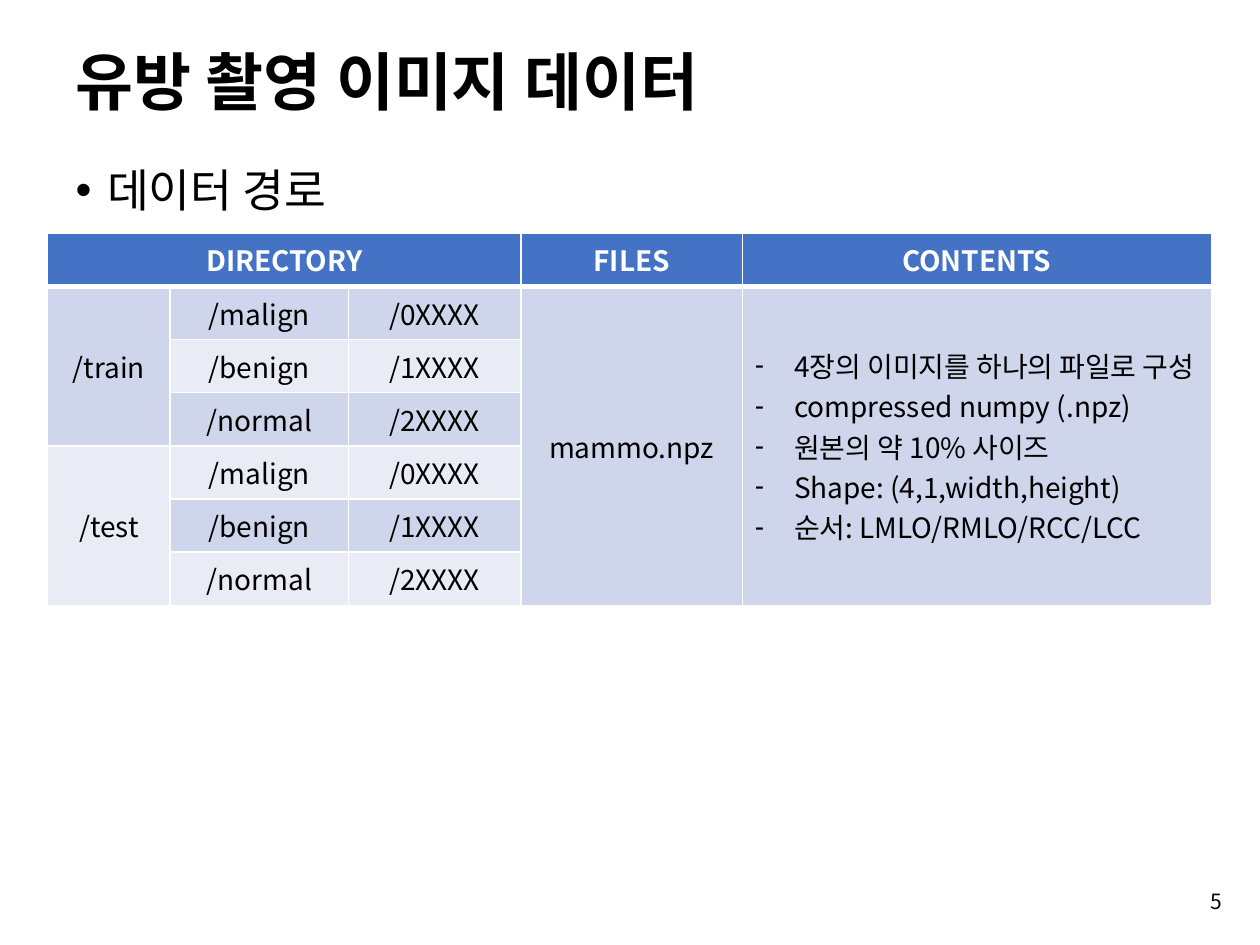
from dataclasses import dataclass
from typing import Optional

from lxml.etree import SubElement
from pptx import Presentation
from pptx.dml.color import RGBColor
from pptx.enum.text import MSO_ANCHOR as Anchor, MSO_AUTO_SIZE as AutoSize, PP_ALIGN as Align
from pptx.oxml.ns import qn
from pptx.util import Pt

WHITE = RGBColor(0xFF, 0xFF, 0xFF)
BLACK = RGBColor(0, 0, 0)
HEADER_BLUE = RGBColor(0x44, 0x72, 0xC4)
BAND_DARK = RGBColor(0xCF, 0xD5, 0xEA)
BAND_LIGHT = RGBColor(0xE9, 0xEB, 0xF5)
KOREAN_FONT = "Noto Sans CJK KR"

COLUMN_WIDTHS = (70, 102, 98.5, 126.5, 268)
ROW_HEIGHT = 30.4
CLASSES = (("/malign", "/0XXXX"), ("/benign", "/1XXXX"), ("/normal", "/2XXXX"))
CONTENTS = (
    "4장의 이미지를 하나의 파일로 구성",
    "compressed numpy (.npz)",
    "원본의 약 10% 사이즈",
    "Shape: (4,1,width,height)",
    "순서: LMLO/RMLO/RCC/LCC",
)


@dataclass(frozen=True)
class Entry:
    row: int
    col: int
    lines: tuple[str, ...]
    fill: RGBColor
    rows: int = 1
    cols: int = 1
    bullet: Optional[str] = None


def write(frame, *lines: str, size: float, font: str = KOREAN_FONT,
          color: RGBColor = BLACK, bold: bool = False, align=Align.LEFT,
          spacing: float = 1.0, bullet: Optional[str] = None, indent: float = 0) -> None:
    """Fill a text frame with one paragraph for each line."""
    for number, line in enumerate(lines):
        paragraph = frame.add_paragraph() if number else frame.paragraphs[0]
        paragraph.alignment = align
        paragraph.line_spacing = spacing
        paragraph.space_before = Pt(0)
        if bullet:
            properties = paragraph._p.get_or_add_pPr()
            properties.set("marL", str(Pt(indent)))
            properties.set("indent", str(-Pt(indent)))
            SubElement(properties, qn("a:buFont"), typeface="Arial")
            SubElement(properties, qn("a:buChar"), char=bullet)
        run = paragraph.add_run()
        run.text = line
        run.font.name, run.font.size, run.font.bold = font, Pt(size), bold
        run.font.color.rgb = color
        SubElement(run._r.get_or_add_rPr(), qn("a:ea"), typeface=KOREAN_FONT)


def place(shape, left: float, top: float, width: float, height: float) -> None:
    shape.left, shape.top = Pt(left), Pt(top)
    shape.width, shape.height = Pt(width), Pt(height)


def set_frame(frame, anchor, top_inset: float) -> None:
    frame.word_wrap = True
    frame.auto_size = AutoSize.NONE
    frame.vertical_anchor = anchor
    frame.margin_left = frame.margin_right = frame.margin_bottom = Pt(7.2)
    frame.margin_top = Pt(top_inset)


def draw_borders(cell, top: float, bottom: float) -> None:
    for side, width in (("L", 1), ("R", 1), ("T", top), ("B", bottom)):
        line = SubElement(cell._tc.get_or_add_tcPr(), qn(f"a:ln{side}"), w=str(Pt(width)))
        fill = SubElement(line, qn("a:solidFill"))
        SubElement(fill, qn("a:srgbClr"), val=str(WHITE))


def draw_entry(table, entry: Entry) -> None:
    cell = table.cell(entry.row, entry.col)
    if entry.rows * entry.cols > 1:
        cell.merge(table.cell(entry.row + entry.rows - 1, entry.col + entry.cols - 1))
    header = entry.row == 0
    for row in range(entry.row, entry.row + entry.rows):
        for col in range(entry.col, entry.col + entry.cols):
            part = table.cell(row, col)
            draw_borders(part, top=3 if row == 1 else 1, bottom=3 if header else 1)
            part.fill.solid()
            part.fill.fore_color.rgb = entry.fill
    cell.vertical_anchor = Anchor.MIDDLE
    write(cell.text_frame, *entry.lines, size=16, bold=header,
          color=WHITE if header else BLACK, bullet=entry.bullet, indent=22.5,
          align=Align.LEFT if entry.bullet else Align.CENTER)


def directory_entries() -> list[Entry]:
    entries = [
        Entry(0, 0, ("DIRECTORY",), HEADER_BLUE, cols=3),
        Entry(0, 3, ("FILES",), HEADER_BLUE),
        Entry(0, 4, ("CONTENTS",), HEADER_BLUE),
        Entry(1, 3, ("mammo.npz",), BAND_DARK, rows=6),
        Entry(1, 4, CONTENTS, BAND_DARK, rows=6, bullet="-"),
    ]
    for group, split in enumerate(("/train", "/test")):
        first = 1 + group * len(CLASSES)
        for row, names in enumerate(CLASSES, first):
            band = BAND_DARK if row % 2 else BAND_LIGHT
            if row == first:
                entries.append(Entry(row, 0, (split,), band, rows=len(CLASSES)))
            entries += [Entry(row, col, (name,), band) for col, name in enumerate(names, 1)]
    return entries


def main() -> None:
    deck = Presentation()
    deck.slide_width, deck.slide_height = Pt(720), Pt(540)
    slide = deck.slides.add_slide(deck.slide_layouts[1])

    # Title and body
    title, body = slide.placeholders
    place(title, 36, 8, 650, 75.5)
    set_frame(title.text_frame, Anchor.MIDDLE, 7.2)
    write(title.text_frame, "유방 촬영 이미지 데이터", size=36, font="Arial", bold=True)
    place(body, 36, 83.5, 650, 411)
    set_frame(body.text_frame, Anchor.TOP, 0)
    write(body.text_frame, "데이터 경로", size=26, spacing=1.3, bullet="•", indent=18)

    # Directory table
    row_count = 1 + 2 * len(CLASSES)
    table = slide.shapes.add_table(
        row_count, len(COLUMN_WIDTHS), Pt(27.25), Pt(133.2),
        Pt(sum(COLUMN_WIDTHS)), Pt(row_count * ROW_HEIGHT)).table
    for column, width in zip(table.columns, COLUMN_WIDTHS):
        column.width = Pt(width)
    for row in table.rows:
        row.height = Pt(ROW_HEIGHT)
    for entry in directory_entries():
        draw_entry(table, entry)

    # Page number
    page = slide.shapes.add_textbox(Pt(543.5), Pt(500.5), Pt(162), Pt(28.75)).text_frame
    set_frame(page, Anchor.MIDDLE, 3.6)
    page.margin_bottom = Pt(3.6)
    write(page, "5", size=12, align=Align.RIGHT)

    deck.save("out.pptx")


if __name__ == "__main__":
    main()
